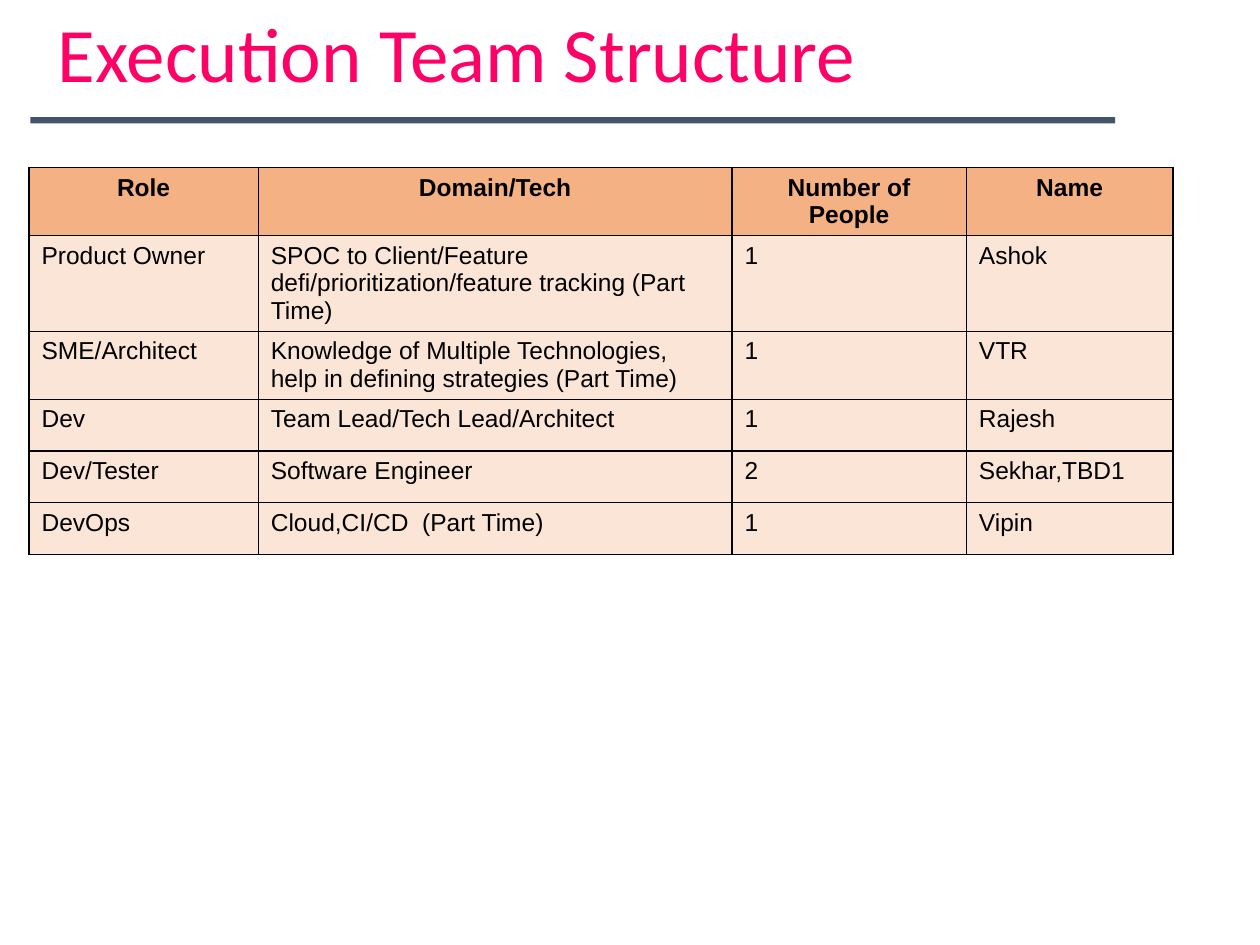
import pptx
import pptx.dml.color
import pptx.enum.shapes
import pptx.enum.text
import pptx.oxml
import pptx.oxml.ns
import pptx.util

Inches = pptx.util.Inches
Pt = pptx.util.Pt
Align = pptx.enum.text.PP_ALIGN
Anchor = pptx.enum.text.MSO_ANCHOR

TITLE = "Execution Team Structure"
HEADERS = ["Role", "Domain/Tech", "Number of People", "Name"]
TEAM = [
    ("Product Owner", "SPOC to Client/Feature defi/prioritization/feature tracking (Part Time)", "1", "Ashok"),
    ("SME/Architect", "Knowledge of Multiple Technologies, help in defining strategies (Part Time)", "1", "VTR"),
    ("Dev", "Team Lead/Tech Lead/Architect", "1", "Rajesh"),
    ("Dev/Tester", "Software Engineer", "2", "Sekhar,TBD1"),
    ("DevOps", "Cloud,CI/CD  (Part Time)", "1", "Vipin"),
]
COLUMN_WIDTHS = [1.82, 3.76, 1.86, 1.64]
ROW_HEIGHTS = [0.54, 0.76, 0.54, 0.41, 0.41, 0.41]

THEME = {
    "title_font": "Calibri",
    "body_font": "Arial",
    "title_size": 44,
    "body_size": 14,
    "title_color": "FF0066",
    "text_color": "000000",
    "rule_color": "44546A",
    "header_fill": "F4B183",
    "body_fill": "FBE5D6",
    "border_color": "000000",
    "border_width": 0.75,
}


def fill_solid(target, color):
    target.fill.solid()
    target.fill.fore_color.rgb = pptx.dml.color.RGBColor.from_string(color)


def write_text(frame, text, font=THEME["body_font"], size=THEME["body_size"],
               color=THEME["text_color"], bold=False, align=Align.LEFT, spacing=None):
    paragraph = frame.paragraphs[0]
    paragraph.alignment = align
    paragraph.line_spacing = spacing
    run = paragraph.add_run()
    run.text = text
    run.font.name = font
    run.font.size = Pt(size)
    run.font.bold = bold
    run.font.color.rgb = pptx.dml.color.RGBColor.from_string(color)


def add_borders(cell):
    properties = cell._tc.get_or_add_tcPr()
    for side in ("lnL", "lnR", "lnT", "lnB"):
        properties.append(pptx.oxml.parse_xml(
            f'<a:{side} {pptx.oxml.ns.nsdecls("a")} w="{Pt(THEME["border_width"])}">'
            f'<a:solidFill><a:srgbClr val="{THEME["border_color"]}"/></a:solidFill></a:{side}>'))


def add_title(slide):
    title = slide.shapes.title
    title.left, title.top = Inches(0.36), Inches(0.13)
    title.width, title.height = Inches(8.36), Inches(0.66)
    frame = title.text_frame
    frame.auto_size = pptx.enum.text.MSO_AUTO_SIZE.NONE
    frame.word_wrap = True
    frame.vertical_anchor = Anchor.MIDDLE
    frame.margin_left = frame.margin_right = Inches(0.1)
    frame.margin_top = frame.margin_bottom = Inches(0.1)
    write_text(frame, TITLE, font=THEME["title_font"], size=THEME["title_size"],
               color=THEME["title_color"], spacing=0.9)


def add_title_rule(slide):
    rule = slide.shapes.add_shape(pptx.enum.shapes.MSO_SHAPE.RECTANGLE,
                                  Inches(0.24), Inches(0.93), Inches(8.61), Inches(0.05))
    rule.shadow.inherit = False
    fill_solid(rule, THEME["rule_color"])
    rule.line.fill.background()


def add_team_table(slide):
    rows = [HEADERS, *TEAM]
    table = slide.shapes.add_table(
        len(rows), len(HEADERS), Inches(0.23), Inches(1.33),
        Inches(sum(COLUMN_WIDTHS)), Inches(sum(ROW_HEIGHTS))).table
    table.horz_banding = False
    for column, width in zip(table.columns, COLUMN_WIDTHS):
        column.width = Inches(width)
    for row_index, (row, height) in enumerate(zip(rows, ROW_HEIGHTS)):
        table.rows[row_index].height = Inches(height)
        is_header = row_index == 0
        for column_index, text in enumerate(row):
            cell = table.cell(row_index, column_index)
            cell.margin_left = cell.margin_right = Inches(0.1)
            cell.margin_top = cell.margin_bottom = Inches(0.05)
            add_borders(cell)
            fill_solid(cell, THEME["header_fill" if is_header else "body_fill"])
            write_text(cell.text_frame, text, bold=is_header,
                       align=Align.CENTER if is_header else Align.LEFT)


def main():
    presentation = pptx.Presentation()
    presentation.slide_width = Inches(10)
    presentation.slide_height = Inches(7.5)
    slide = presentation.slides.add_slide(presentation.slide_layouts[5])
    add_title_rule(slide)
    add_title(slide)
    add_team_table(slide)
    presentation.save("out.pptx")


if __name__ == "__main__":
    main()
